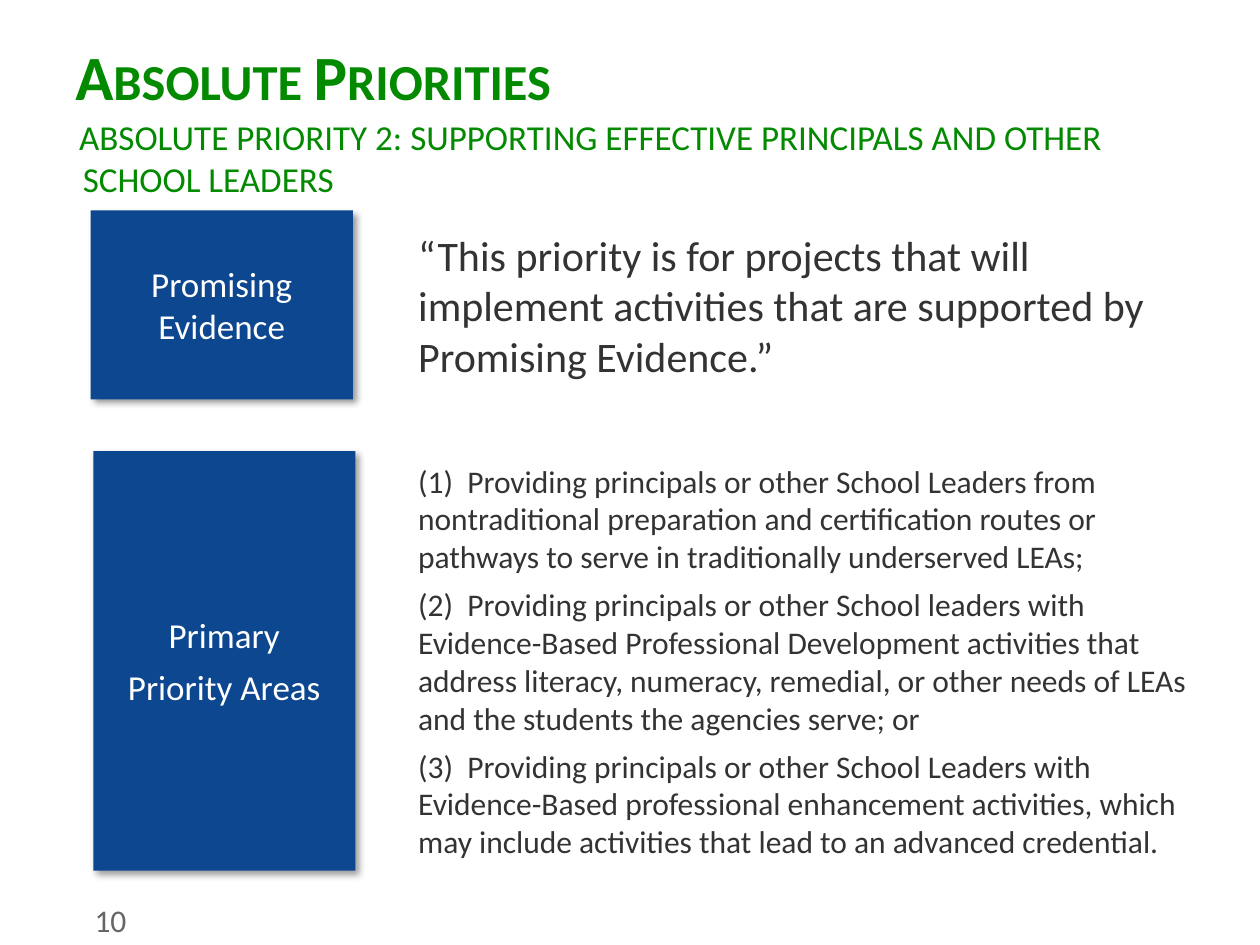
"""Build the slide on the second absolute priority, for school leaders."""
from dataclasses import dataclass

from lxml.etree import SubElement
from pptx import Presentation
from pptx.dml.color import RGBColor
from pptx.enum.shapes import MSO_SHAPE
from pptx.enum.text import MSO_ANCHOR as Anchor, PP_ALIGN as Align
from pptx.oxml.ns import qn
from pptx.shapes.autoshape import Shape
from pptx.slide import Slide
from pptx.util import Inches, Pt

GREEN = RGBColor(0x03, 0x8A, 0x00)
BLUE = RGBColor(0x0C, 0x47, 0x90)
WHITE = RGBColor(0xFF, 0xFF, 0xFF)
DARK = RGBColor(0x33, 0x33, 0x33)
GRAY = RGBColor(0x66, 0x66, 0x66)
FONT = "Calibri"


@dataclass(frozen=True)
class Style:
    size: int
    color: RGBColor
    bold: bool = False
    align: Align = Align.LEFT
    anchor: Anchor = Anchor.TOP


@dataclass(frozen=True)
class Box:
    left: float
    top: float
    width: float
    height: float

    def lengths(self) -> list[Inches]:
        return [Inches(n) for n in (self.left, self.top, self.width, self.height)]


@dataclass(frozen=True)
class Row:
    label_left: float
    top: float
    height: float
    text_width: float
    text_size: int
    label: tuple[str, ...]
    text: tuple[str, ...]


HEADING = Style(36, GREEN, bold=True)
SUBHEADING = Style(20, GREEN)
NUMBER = Style(18, GRAY)
LABEL = Style(20, WHITE, align=Align.CENTER, anchor=Anchor.MIDDLE)
LABEL_WIDTH = 2.08
TEXT_LEFT = 3.22
NUMBER_TAB = 0.39

ROWS = (
    Row(0.72, 1.67, 1.5, 6.25, 24, ("Promising Evidence",), (
        "“This priority is for projects that will implement activities that are "
        "supported by Promising Evidence.”",
    )),
    Row(0.74, 3.58, 3.33, 6.42, 18, ("Primary", "Priority Areas"), (
        "(1)\tProviding principals or other School Leaders from nontraditional "
        "preparation and certification routes or pathways to serve in "
        "traditionally underserved LEAs;",
        "(2)\tProviding principals or other School leaders with Evidence-Based "
        "Professional Development activities that address literacy, numeracy, "
        "remedial, or other needs of LEAs and the students the agencies serve; or",
        "(3)\tProviding principals or other School Leaders with Evidence-Based "
        "professional enhancement activities, which may include activities that "
        "lead to an advanced credential.",
    )),
)


def write(shape: Shape, lines: tuple[str, ...], style: Style) -> None:
    frame = shape.text_frame
    frame.word_wrap = True
    frame.vertical_anchor = style.anchor
    for index, line in enumerate(lines):
        paragraph = frame.add_paragraph() if index else frame.paragraphs[0]
        paragraph.alignment = style.align
        if "\t" in line:
            tabs = SubElement(paragraph._p.get_or_add_pPr(), qn("a:tabLst"))
            SubElement(tabs, qn("a:tab"), pos=str(Inches(NUMBER_TAB)), algn="l")
        if index:
            paragraph.space_before = Pt(5.8)
        run = paragraph.add_run()
        run.text = line
        run.font.name = FONT
        run.font.size = Pt(style.size)
        run.font.bold = style.bold
        run.font.color.rgb = style.color


def add_text(slide: Slide, box: Box, lines: tuple[str, ...], style: Style) -> Shape:
    shape = slide.shapes.add_textbox(*box.lengths())
    write(shape, lines, style)
    return shape


def add_shadow(shape: Shape) -> None:
    shape.shadow.inherit = False
    effects = shape._element.spPr.find(qn("a:effectLst"))
    shadow = SubElement(
        effects, qn("a:outerShdw"), blurRad=str(Pt(4)), dist=str(Pt(3)),
        dir=str(45 * 60000), algn="tl", rotWithShape="0",
    )
    color = SubElement(shadow, qn("a:srgbClr"), val="000000")
    SubElement(color, qn("a:alpha"), val="40000")


def add_row(slide: Slide, row: Row) -> None:
    label_box = Box(row.label_left, row.top, LABEL_WIDTH, row.height)
    label = slide.shapes.add_shape(MSO_SHAPE.RECTANGLE, *label_box.lengths())
    label.fill.solid()
    label.fill.fore_color.rgb = BLUE
    label.line.fill.background()
    add_shadow(label)
    write(label, row.label, LABEL)
    text_box = Box(TEXT_LEFT, row.top, row.text_width, row.height)
    add_text(slide, text_box, row.text, Style(row.text_size, DARK, anchor=Anchor.MIDDLE))


def main() -> None:
    deck = Presentation()
    deck.slide_width, deck.slide_height = Inches(10), Inches(7.5)
    slide = deck.slides.add_slide(deck.slide_layouts[6])

    heading = add_text(slide, Box(0.5, 0.25, 9, 0.62), ("Absolute Priorities",), HEADING)
    heading.text_frame.paragraphs[0].runs[0]._r.get_or_add_rPr().set("cap", "small")

    subheading = add_text(slide, Box(0.5, 0.87, 9, 0.55), (
        "ABSOLUTE PRIORITY 2: SUPPORTING EFFECTIVE PRINCIPALS AND OTHER SCHOOL LEADERS",
    ), SUBHEADING)
    indent = subheading.text_frame.paragraphs[0]._p.get_or_add_pPr()
    indent.set("marL", str(Inches(0.06)))
    indent.set("indent", str(Inches(-0.03)))

    for row in ROWS:
        add_row(slide, row)

    number = add_text(slide, Box(0.75, 7.1, 0.58, 0.4), ("10",), NUMBER)
    number.text_frame.margin_left = number.text_frame.margin_right = Inches(0)

    deck.save("out.pptx")


if __name__ == "__main__":
    main()
